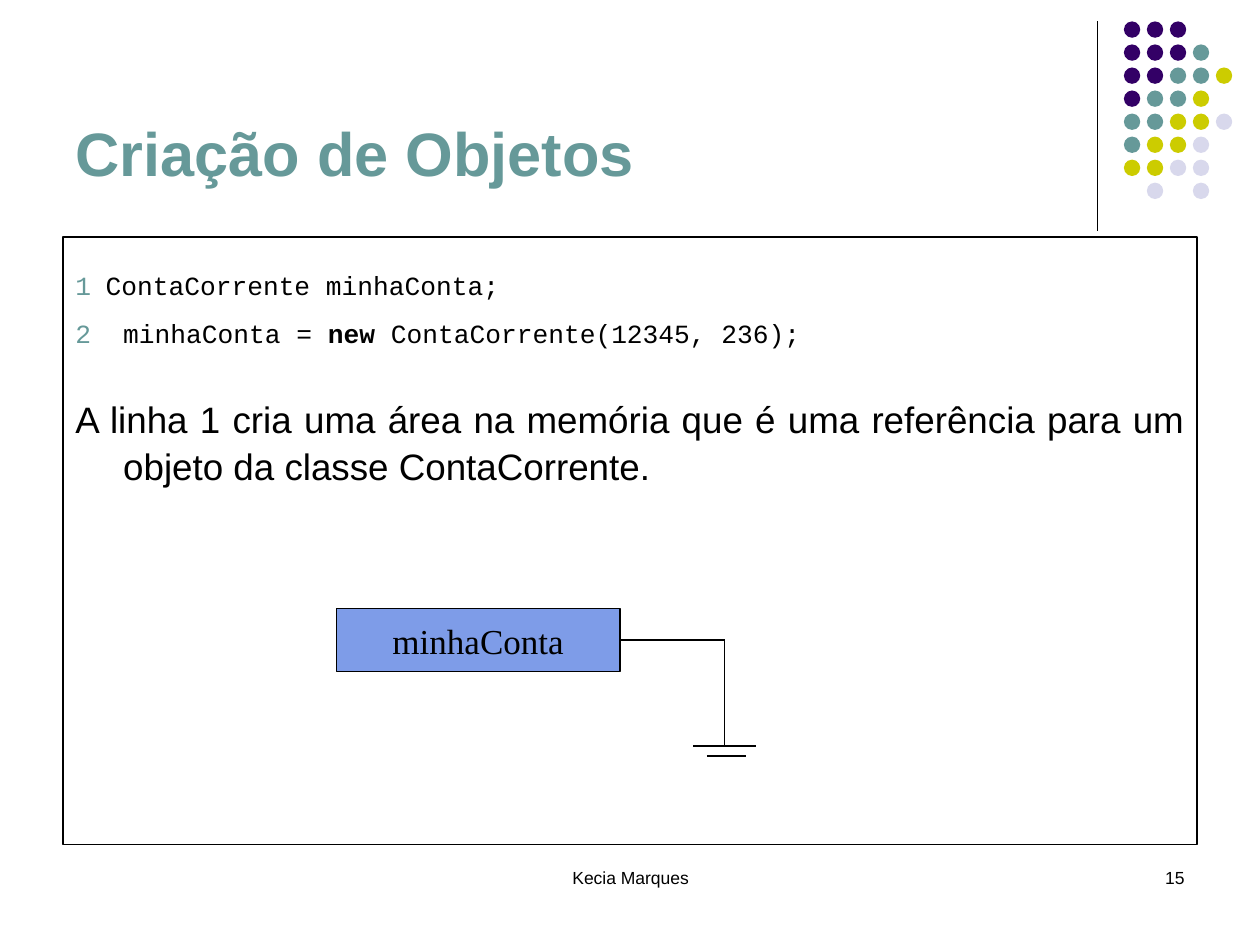
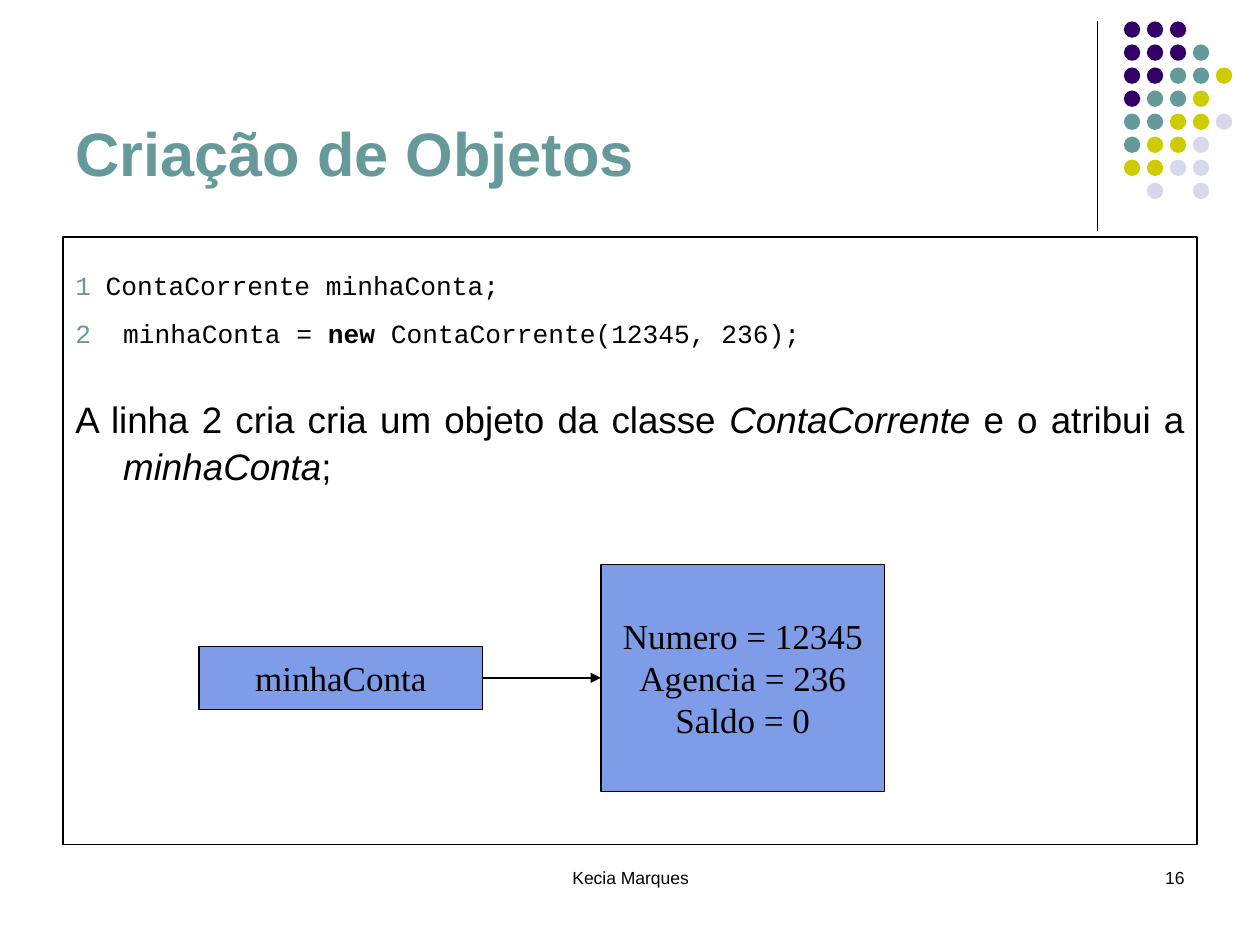
from pptx import Presentation
from pptx.dml.color import RGBColor
from pptx.enum.shapes import MSO_CONNECTOR, MSO_SHAPE
from pptx.enum.text import MSO_ANCHOR, PP_ALIGN
from pptx.util import Inches, Pt
from lxml import etree

LEFT, MID, RIGHT, JUST = PP_ALIGN.LEFT, PP_ALIGN.CENTER, PP_ALIGN.RIGHT, PP_ALIGN.JUSTIFY
TOP, CENTER, BOTTOM = MSO_ANCHOR.TOP, MSO_ANCHOR.MIDDLE, MSO_ANCHOR.BOTTOM
RECT, OVAL = MSO_SHAPE.RECTANGLE, MSO_SHAPE.OVAL
STRAIGHT = MSO_CONNECTOR.STRAIGHT

COLORS = {"ink": "000000", "teal": "669999", "plum": "330066",
          "lime": "CCCC00", "mist": "D8D8EC", "blue": "7E9CE8"}
SANS, MONO, SERIF = "Arial", "Courier New", "Times New Roman"

TITLE = "Criação de Objetos"
AUTHOR = "Kecia Marques"
FIRST = 15
VAR = "minhaConta"
CODE = [
    [("1", {"color": "teal"}), (" ", {"size": 30, "font": SANS}),
     ("ContaCorrente minhaConta;", {})],
    [("2", {"color": "teal"}), ("\tminhaConta = ", {}), ("new", {"bold": True}),
     (" ContaCorrente(12345, 236);", {})],
]
NOTES = [
    [("A linha 1 cria uma área na memória que é uma referência para um objeto "
      "da classe ContaCorrente.", {})],
    [("A linha 2 cria cria um objeto da classe ", {}),
     ("ContaCorrente", {"italic": True}), (" e o atribui a ", {}),
     (VAR, {"italic": True}), (";", {})],
]
FIELDS = ["Numero = 12345", "Agencia = 236", "Saldo = 0"]

DOTS = ["PPP", "PPPT", "PPTTY", "PTTY", "TTYYL", "TYYL", "YYLL", " L L"]
TONES = {"P": "plum", "T": "teal", "Y": "lime", "L": "mist"}
DOT_X, DOT_Y, DOT = 8.92, 0.17, 0.13
STEP_X, STEP_Y = 0.73 / 4, 1.28 / 7

GROUND = [((5.75, 5.08), (5.75, 5.92)), ((5.5, 5.92), (6, 5.92)),
          ((5.61, 6), (5.92, 6))]


def rgb(name):
    return RGBColor.from_string(COLORS[name])


def write(frame, paras, size=20, font=SANS, color="ink", bold=False, align=LEFT,
          anchor=TOP, wrap=True, hang=0, befores=(), leads=()):
    frame.word_wrap = wrap
    frame.vertical_anchor = anchor
    for n, runs in enumerate(paras):
        para = frame.paragraphs[0] if n == 0 else frame.add_paragraph()
        para.alignment = align[n] if isinstance(align, list) else align
        para.space_before = Pt(befores[n] if befores else 0)
        if leads:
            para.line_spacing = leads[n]
        if hang:
            props = para._p.get_or_add_pPr()
            props.set("marL", str(Inches(hang)))
            props.set("indent", str(-Inches(hang)))
        for text, style in [(runs, {})] if isinstance(runs, str) else runs:
            run = para.add_run()
            run.text = text
            face = run.font
            face.size = Pt(style.get("size", size))
            face.name = style.get("font", font)
            face.bold = style.get("bold", bold)
            face.italic = style.get("italic", False)
            face.color.rgb = rgb(style.get("color", color))


def shape(slide, kind, x, y, w, h, fill=None, line=None):
    item = slide.shapes.add_shape(kind, Inches(x), Inches(y), Inches(w), Inches(h))
    item.shadow.inherit = False
    if fill:
        item.fill.solid()
        item.fill.fore_color.rgb = rgb(fill)
    else:
        item.fill.background()
    if line:
        item.line.color.rgb = rgb(line)
        item.line.width = Pt(0.75)
    else:
        item.line.fill.background()
    return item


def link(slide, start, end, arrow=False):
    item = slide.shapes.add_connector(STRAIGHT, *(Inches(v) for v in start + end))
    item.line.color.rgb = rgb("ink")
    item.line.width = Pt(0.75)
    space = item._element.nsmap["a"]
    if arrow:
        tail = etree.SubElement(item.line._get_or_add_ln(), f"{{{space}}}tailEnd")
        tail.set("type", "triangle")
    etree.SubElement(item._element.spPr, f"{{{space}}}effectLst")
    return item


def box(slide, x, y, h, lines):
    item = shape(slide, RECT, x, y, 2.25, h, "blue", "ink")
    write(item.text_frame, lines, font=SERIF, align=MID, anchor=CENTER, wrap=False)
    return item


def label(slide, x, w, text, align):
    item = slide.shapes.add_textbox(Inches(x), Inches(6.83), Inches(w), Inches(0.5))
    write(item.text_frame, [text], size=10, align=align)


def base(deck, page, note):
    slide = deck.slides.add_slide(deck.slide_layouts[5])
    link(slide, (8.71, 0.17), (8.71, 1.83))
    for row, marks in enumerate(DOTS):
        for col, mark in enumerate(marks):
            if mark in TONES:
                shape(slide, OVAL, DOT_X + col * STEP_X, DOT_Y + row * STEP_Y,
                      DOT, DOT, TONES[mark])
    title = slide.shapes.title
    title.left, title.top = Inches(0.5), Inches(0.13)
    title.width, title.height = Inches(8.25), Inches(1.42)
    write(title.text_frame, [TITLE], size=35, color="teal", bold=True, anchor=BOTTOM)
    label(slide, 3.42, 3.17, AUTHOR, MID)
    label(slide, 7.17, 2.33, str(page), RIGHT)
    body = shape(slide, RECT, 0.5, 1.88, 9, 4.82, line="ink")
    large = [(text, {"size": 21, "font": SANS, **style}) for text, style in note]
    write(body.text_frame, CODE + [large], size=15, font=MONO, hang=0.38,
          align=[LEFT, LEFT, JUST], befores=[3.7, 6.2, 26.5], leads=[1.0, 1.0, 1.05])
    return slide


def main():
    deck = Presentation()
    deck.slide_width, deck.slide_height = Inches(10), Inches(7.5)
    empty, full = [base(deck, FIRST + n, note) for n, note in enumerate(NOTES)]

    ref = box(empty, 2.67, 4.83, 0.5, [VAR])
    link(empty, (4.92, 5.08), (5.75, 5.08)).begin_connect(ref, 3)
    for start, end in GROUND:
        link(empty, start, end)

    ref = box(full, 1.58, 5.13, 0.5, [VAR])
    target = box(full, 4.77, 4.48, 1.8, FIELDS)
    arrow = link(full, (3.83, 5.38), (4.77, 5.38), arrow=True)
    arrow.begin_connect(ref, 3)
    arrow.end_connect(target, 1)

    deck.save("out.pptx")


if __name__ == "__main__":
    main()
